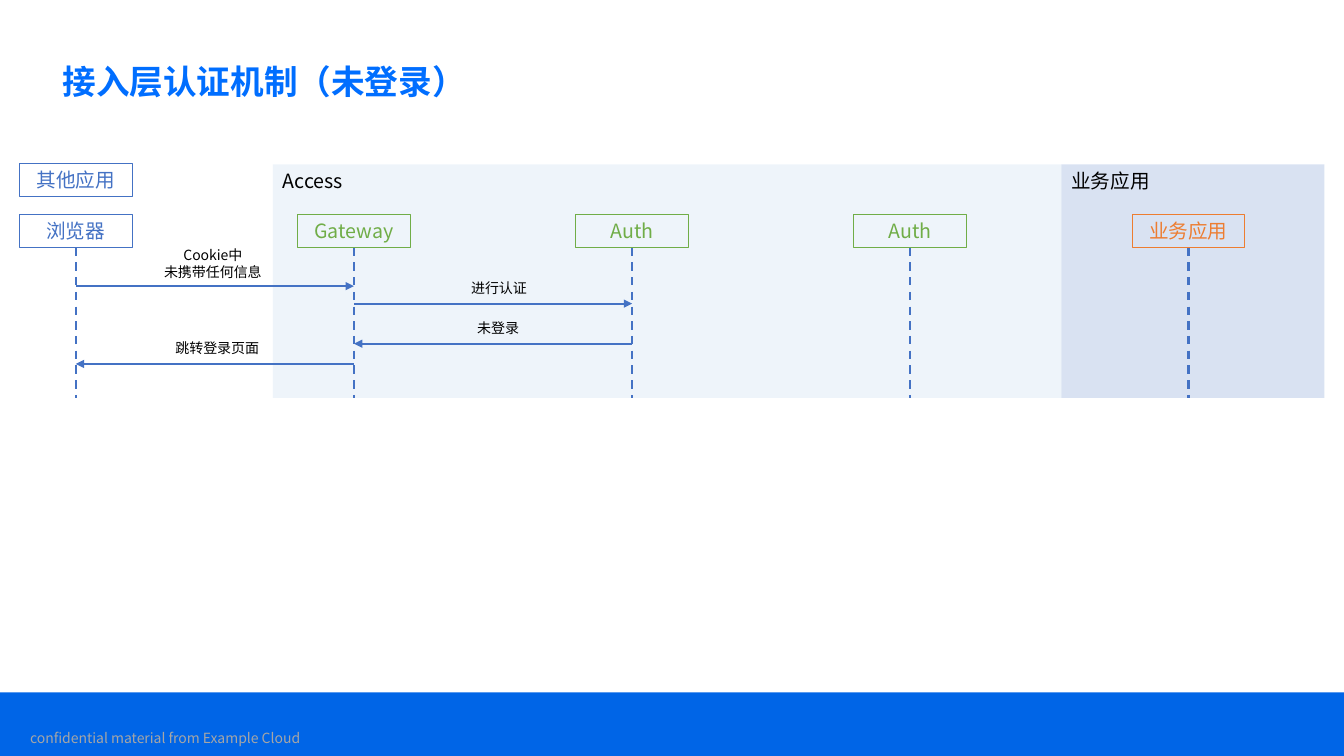
from dataclasses import dataclass

from lxml.etree import SubElement
from pptx import Presentation
from pptx.dml.color import RGBColor
from pptx.enum.dml import MSO_LINE
from pptx.enum.shapes import MSO_CONNECTOR, MSO_SHAPE
from pptx.enum.text import MSO_ANCHOR, MSO_AUTO_SIZE, PP_ALIGN
from pptx.oxml.ns import qn
from pptx.util import Cm, Pt


@dataclass(frozen=True)
class Theme:
    font: str = "Noto Sans CJK SC"
    title: str = "006EFF"
    band: str = "0065E7"
    footer: str = "A6A6A6"
    text: str = "000000"
    blue: str = "4472C4"
    green: str = "70AD47"
    orange: str = "ED7D31"
    access: str = "DEEBF7"
    business: str = "B4C7E7"
    title_size: int = 24
    box_size: int = 14
    label_size: int = 10
    outline: float = 0.75
    stroke: float = 1.5


THEME = Theme()
SLIDE_WIDTH, SLIDE_HEIGHT = 33.87, 19.05
BAND_TOP = 17.45
PANEL_TOP, PANEL_HEIGHT = 4.14, 5.89
LIFELINE_END = PANEL_TOP + PANEL_HEIGHT
BOX_WIDTH, BOX_HEIGHT = 2.84, 0.84
OTHER_APP_TOP, ACTOR_TOP = 4.11, 5.4
FIRST_CENTER, ACTOR_PITCH = 1.91, 7.01
LABEL_WIDTH = 4.8

PANELS = [
    ("Access", 6.88, 19.87, THEME.access),
    ("业务应用", 26.75, 6.63, THEME.business),
]
ACTORS = [
    ("浏览器", THEME.blue),
    ("Gateway", THEME.green),
    ("Auth", THEME.green),
    ("Auth", THEME.green),
    ("业务应用", THEME.orange),
]
MESSAGES = [
    (0, 1, 7.21, "Cookie中\n未携带任何信息", 1.12, -0.05),
    (1, 2, 7.65, "进行认证", 0.74, 0.15),
    (2, 1, 8.66, "未登录", 0.74, 0.13),
    (1, 0, 9.17, "跳转登录页面", 0.74, 0.06),
]


def actor_center(index):
    return FIRST_CENTER + index * ACTOR_PITCH


def write_text(frame, text, size, color, bold=False, align=PP_ALIGN.LEFT,
               anchor=MSO_ANCHOR.TOP, fit=MSO_AUTO_SIZE.NONE, line_spacing=None):
    frame.word_wrap = True
    frame.auto_size = fit
    frame.vertical_anchor = anchor
    for index, line in enumerate(text.split("\n")):
        para = frame.add_paragraph() if index else frame.paragraphs[0]
        para.alignment = align
        para.line_spacing = line_spacing
        span = para.add_run()
        span.text = line
        span.font.size = Pt(size)
        span.font.bold = bold
        span.font.color.rgb = RGBColor.from_string(color)
        span.font.name = THEME.font
        SubElement(span.font._element, qn("a:ea"), typeface=THEME.font)


def add_box(page, left, top, width, height, fill=None, alpha=None, outline=None):
    box = page.shapes.add_shape(MSO_SHAPE.RECTANGLE, Cm(left), Cm(top), Cm(width), Cm(height))
    box.shadow.inherit = False
    if fill:
        box.fill.solid()
        box.fill.fore_color.rgb = RGBColor.from_string(fill)
        if alpha:
            color = box.fill._xPr.find(".//" + qn("a:srgbClr"))
            SubElement(color, qn("a:alpha"), val=str(alpha * 1000))
    else:
        box.fill.background()
    if outline:
        box.line.color.rgb = RGBColor.from_string(outline)
        box.line.width = Pt(THEME.outline)
    else:
        box.line.fill.background()
    return box


def add_panel(page, text, left, width, fill):
    panel = add_box(page, left, PANEL_TOP, width, PANEL_HEIGHT, fill=fill, alpha=50)
    write_text(panel.text_frame, text, THEME.box_size, THEME.text)


def add_actor(page, text, center, top, color):
    box = add_box(page, center - BOX_WIDTH / 2, top, BOX_WIDTH, BOX_HEIGHT, outline=color)
    write_text(box.text_frame, text, THEME.box_size, color,
               align=PP_ALIGN.CENTER, anchor=MSO_ANCHOR.MIDDLE)
    return box


def add_line(page, start, end, dashed=False, arrow=False):
    line = page.shapes.add_connector(
        MSO_CONNECTOR.STRAIGHT, *(Cm(value) for value in (*start, *end)))
    line.line.color.rgb = RGBColor.from_string(THEME.blue)
    line.line.width = Pt(THEME.stroke)
    if dashed:
        line.line.dash_style = MSO_LINE.DASH
    if arrow:
        SubElement(line.line._get_or_add_ln(), qn("a:tailEnd"), type="triangle")
    SubElement(line._element.spPr, qn("a:effectLst"))
    return line


def add_lifeline(page, box, center):
    lifeline = add_line(page, (center, ACTOR_TOP + BOX_HEIGHT), (center, LIFELINE_END), dashed=True)
    lifeline.begin_connect(box, 2)


def add_message(page, source, target, y, text, rise, shift):
    start, end = actor_center(source), actor_center(target)
    add_line(page, (start, y), (end, y), arrow=True)
    left = (start + end - LABEL_WIDTH) / 2 + shift
    label = page.shapes.add_textbox(Cm(left), Cm(y - rise), Cm(LABEL_WIDTH), Cm(rise))
    write_text(label.text_frame, text, THEME.label_size, THEME.text,
               align=PP_ALIGN.CENTER, fit=MSO_AUTO_SIZE.SHAPE_TO_FIT_TEXT)


def add_title(page, text):
    title = page.shapes.title
    title.left, title.top, title.width, title.height = Cm(1.32), Cm(1.32), Cm(29.21), Cm(1.57)
    write_text(title.text_frame, text, THEME.title_size, THEME.title, bold=True,
               anchor=MSO_ANCHOR.MIDDLE, line_spacing=0.9)


def add_footer(page, text):
    add_box(page, 0, BAND_TOP, SLIDE_WIDTH, SLIDE_HEIGHT - BAND_TOP, fill=THEME.band)
    footer = page.shapes.add_textbox(Cm(0.51), Cm(18.17), Cm(9.22), Cm(0.84))
    write_text(footer.text_frame, text, THEME.label_size, THEME.footer, anchor=MSO_ANCHOR.MIDDLE)


def main():
    deck = Presentation()
    deck.slide_width, deck.slide_height = Cm(SLIDE_WIDTH), Cm(SLIDE_HEIGHT)
    page = deck.slides.add_slide(deck.slide_layouts[5])
    add_footer(page, "confidential material from Example Cloud")
    add_title(page, "接入层认证机制（未登录）")
    for panel in PANELS:
        add_panel(page, *panel)
    add_actor(page, "其他应用", FIRST_CENTER, OTHER_APP_TOP, THEME.blue)
    for index, (name, color) in enumerate(ACTORS):
        center = actor_center(index)
        box = add_actor(page, name, center, ACTOR_TOP, color)
        add_lifeline(page, box, center)
    for message in MESSAGES:
        add_message(page, *message)
    deck.save("out.pptx")


if __name__ == "__main__":
    main()
